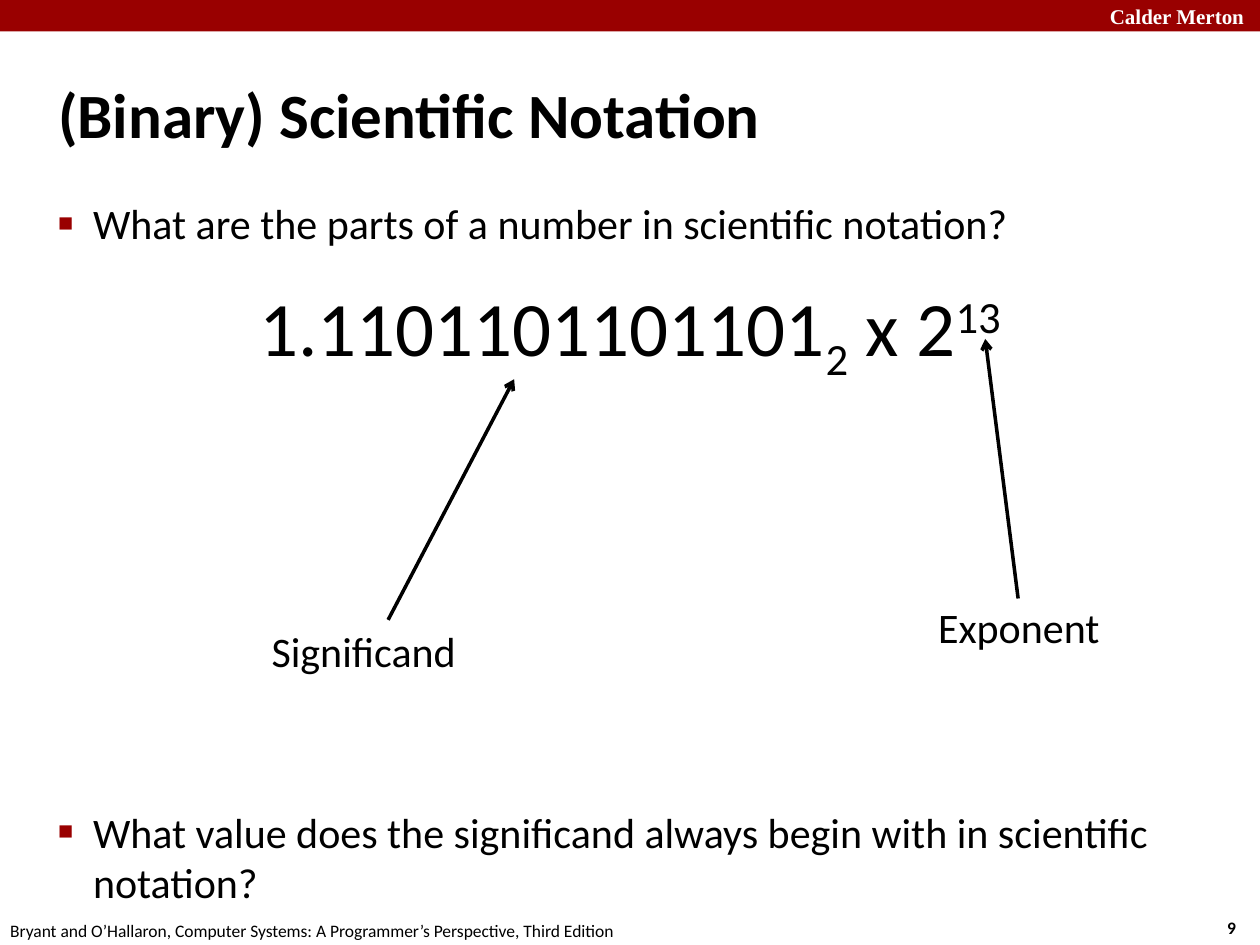
from lxml import etree
from pptx import Presentation
from pptx import util as u
from pptx.dml.color import RGBColor
from pptx.enum import shapes, text
from pptx.oxml.ns import qn

BLACK = RGBColor(0x00, 0x00, 0x00)
WHITE = RGBColor(0xFF, 0xFF, 0xFF)
RED = RGBColor(0x99, 0x00, 0x00)
CENTER = text.PP_ALIGN.CENTER
RIGHT = text.PP_ALIGN.RIGHT


def add_run(paragraph, words, size, color=BLACK, bold=False, font="Calibri", baseline=0):
    run = paragraph.add_run()
    run.text = words
    run.font.size = u.Pt(size)
    run.font.name = font
    run.font.bold = bold
    run.font.color.rgb = color
    if baseline:
        run.font._element.set("baseline", str(baseline * 1000))


def add_frame(slide, box, inset=None, anchor=text.MSO_ANCHOR.TOP):
    frame = slide.shapes.add_textbox(*map(u.Pt, box)).text_frame
    frame.word_wrap = True
    frame.vertical_anchor = anchor
    if inset is not None:
        frame.margin_left = frame.margin_right = u.Pt(inset)
        frame.margin_top = frame.margin_bottom = u.Pt(inset)
    return frame


def add_label(slide, box, words, size, align=CENTER, **style):
    paragraph = add_frame(slide, box).paragraphs[0]
    paragraph.alignment = align
    add_run(paragraph, words, size, **style)


def add_bar(slide, box, color):
    bar = slide.shapes.add_shape(shapes.MSO_SHAPE.RECTANGLE, *map(u.Pt, box))
    bar.shadow.inherit = False
    bar.fill.solid()
    bar.fill.fore_color.rgb = color
    bar.line.fill.background()


def add_bullet(paragraph, words, space_before):
    paragraph.space_before = u.Pt(space_before)
    properties = paragraph._p.get_or_add_pPr()
    properties.set("marL", str(u.Pt(20)))
    properties.set("indent", str(u.Pt(-20)))
    color = etree.SubElement(properties, qn("a:buClr"))
    etree.SubElement(color, qn("a:srgbClr"), val=str(RED))
    etree.SubElement(properties, qn("a:buSzPct"), val="60000")
    etree.SubElement(properties, qn("a:buFont"), typeface="Arial")
    etree.SubElement(properties, qn("a:buChar"), char="■")
    add_run(paragraph, words, 24)


def add_arrow(slide, start, end):
    arrow = slide.shapes.add_connector(
        shapes.MSO_CONNECTOR.STRAIGHT, *map(u.Pt, start + end))
    arrow.line.width = u.Pt(2)
    arrow.line.color.rgb = BLACK
    etree.SubElement(arrow.line._get_or_add_ln(), qn("a:tailEnd"), type="arrow")
    etree.SubElement(arrow._element.spPr, qn("a:effectLst"))


def add_number(slide, box):
    paragraph = add_frame(slide, box).paragraphs[0]
    paragraph.alignment = CENTER
    for words, baseline in (("1.1101101101101", 0), ("2", -25), (" x 2", 0), ("13", 30)):
        add_run(paragraph, words, 44, baseline=baseline)


def main():
    presentation = Presentation()
    presentation.slide_width = u.Pt(720)
    presentation.slide_height = u.Pt(540)
    slide = presentation.slides.add_slide(presentation.slide_layouts[6])

    add_label(slide, (690.4, 520.6, 26.6, 19.4), "9", 10, bold=True)
    add_label(slide, (-4.8, 522, 365.8, 19.4),
              "Bryant and O’Hallaron, Computer Systems: A Programmer’s Perspective, Third Edition",
              10)
    add_bar(slide, (0, 0, 720.7, 18), RED)
    add_label(slide, (578, -1.4, 140, 21.6), "Calder Merton", 12, align=RIGHT,
              color=WHITE, bold=True, font="Times New Roman")

    title = add_frame(slide, (30.2, 19.8, 660.2, 90), inset=3, anchor=text.MSO_ANCHOR.MIDDLE)
    add_run(title.paragraphs[0], "(Binary) Scientific Notation", 36, bold=True)

    body = add_frame(slide, (30.2, 109.8, 660.2, 427.7), inset=3)
    add_bullet(body.paragraphs[0], "What are the parts of a number in scientific notation?", 6)
    add_bullet(body.add_paragraph(),
               "What value does the significand always begin with in scientific notation?", 319)

    add_number(slide, (122.8, 156.2, 474.5, 60.5))
    add_arrow(slide, (221.8, 354.2), (293.8, 216.7))
    add_arrow(slide, (581.8, 342), (563, 193.7))
    add_label(slide, (30.2, 354.2, 360.7, 36), "Significand ", 24)
    add_label(slide, (401.8, 340.2, 360.7, 36), "Exponent", 24)

    presentation.save("out.pptx")


if __name__ == "__main__":
    main()
